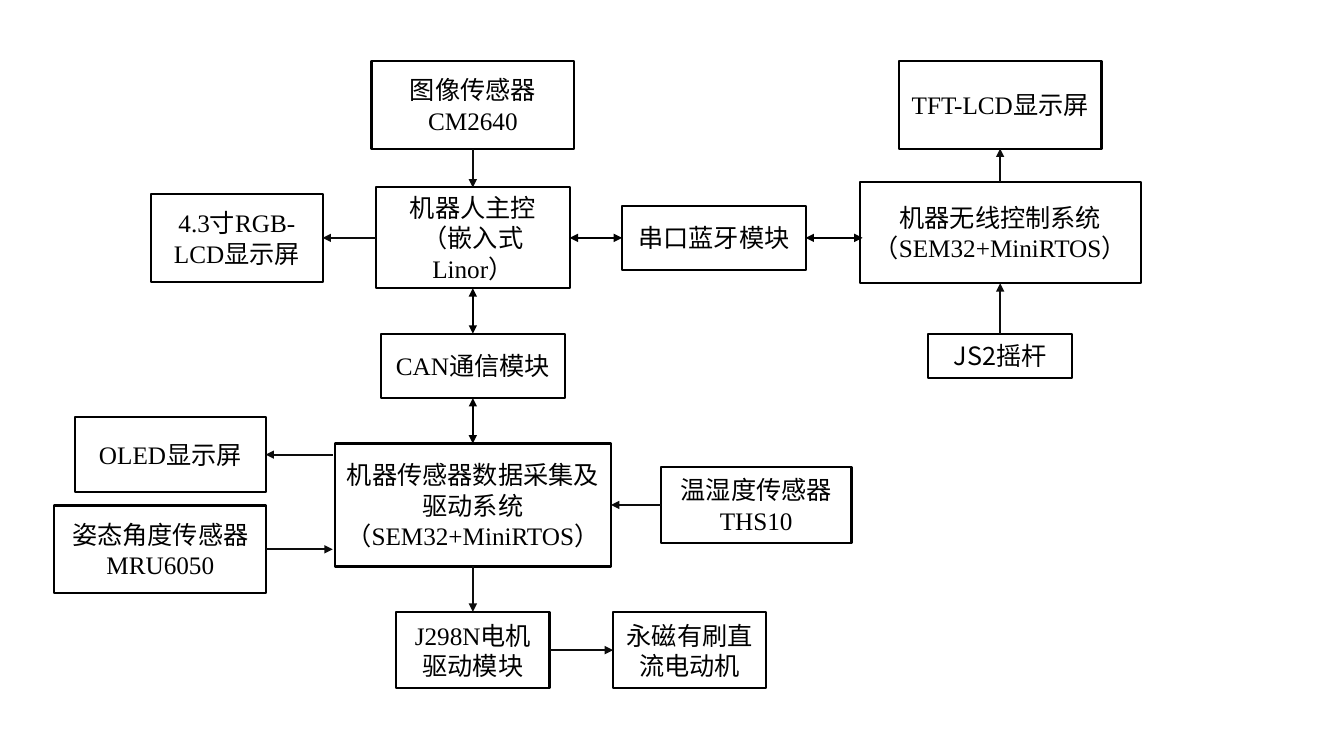
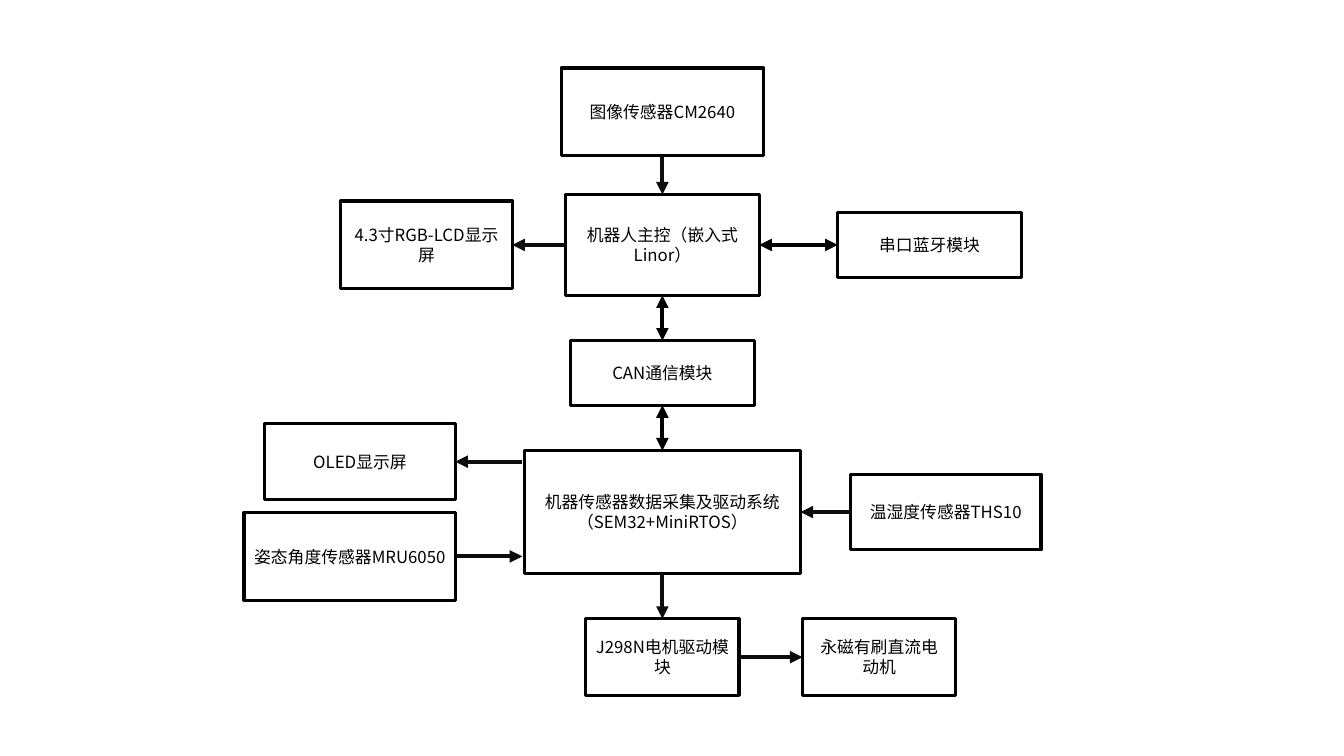
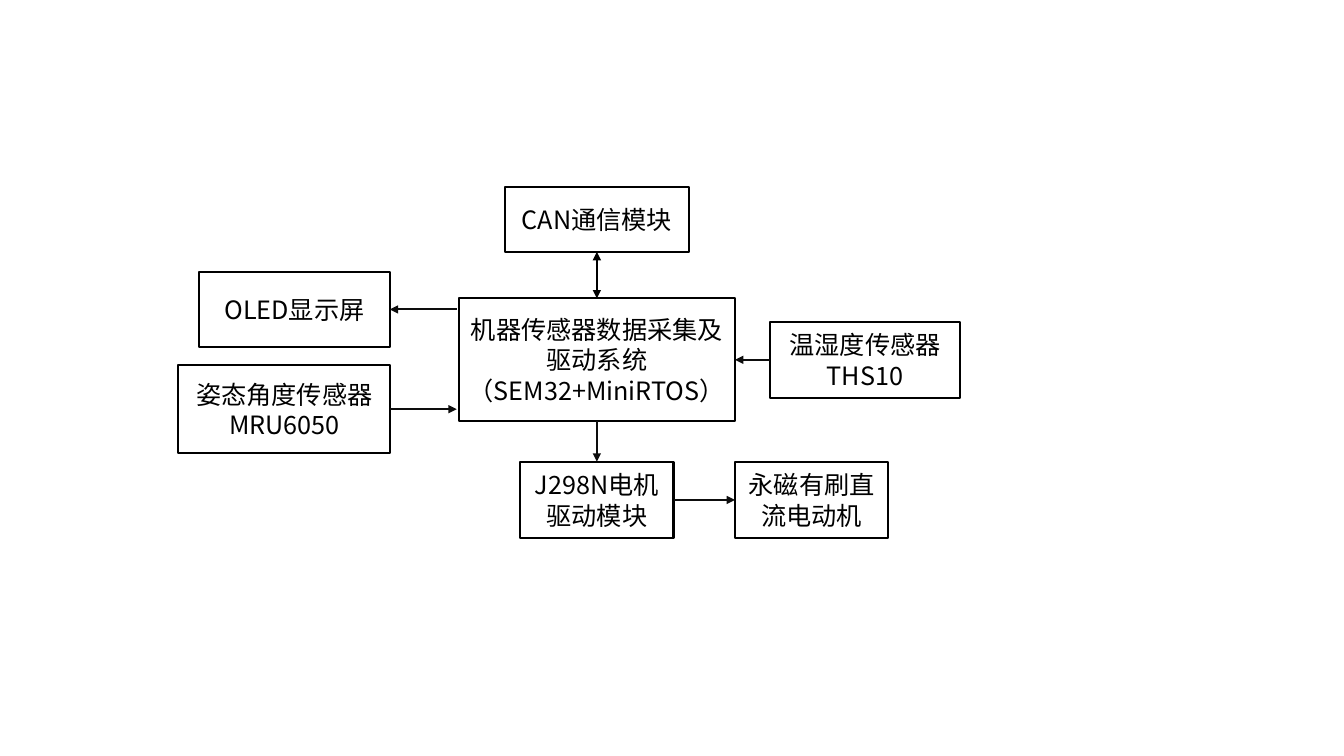
from dataclasses import dataclass, field
from itertools import groupby

from lxml import etree
from pptx import Presentation
from pptx.dml.color import RGBColor
from pptx.enum.shapes import MSO_CONNECTOR, MSO_SHAPE
from pptx.enum.text import MSO_ANCHOR, PP_ALIGN
from pptx.oxml.ns import qn
from pptx.util import Inches, Pt

RECTANGLE = MSO_SHAPE.RECTANGLE
STRAIGHT = MSO_CONNECTOR.STRAIGHT
CENTER = PP_ALIGN.CENTER
MIDDLE = MSO_ANCHOR.MIDDLE

BLACK = RGBColor(0x00, 0x00, 0x00)
NEAR_BLACK = RGBColor(0x0D, 0x0D, 0x0D)
WHITE = RGBColor(0xFF, 0xFF, 0xFF)
SANS = "Noto Sans CJK SC"
SERIF = "Times New Roman"

# Directions of a link, seen from its core block
OUT, IN, BOTH = "out", "in", "both"


@dataclass(frozen=True)
class Block:
    """A box; x and y run from the centre of the hub to its own centre, in inches."""
    text: str
    x: float
    y: float
    width: float
    height: float
    sans_only: bool = False


@dataclass(frozen=True)
class Link:
    """A straight line at the leaf's centre; gap is left free beside the core."""
    leaf: str
    core: str
    direction: str
    gap: float = 0


@dataclass(frozen=True)
class Diagram:
    """One slide: where the hub sits, its style, its blocks and moved centres."""
    hub_x: float
    hub_y: float
    names: list[str]
    size: float = 18
    border: float = 1.5
    stroke: float = 1.5
    latin: str = SANS
    moved: dict[str, tuple[float, float]] = field(default_factory=dict)


@dataclass(frozen=True)
class Box:
    """A block placed on a slide, in inches."""
    x: float
    y: float
    width: float
    height: float


# Distances shared by several blocks
CONTROL_ROW = -2.65
TOP_ROW = -3.97
DRIVE_ROW = 1.44
REMOTE_COLUMN = 5.23

BLOCKS = {
    "controller": Block("机器人主控（嵌入式Linor）", 0, CONTROL_ROW, 1.92, 1),
    "remote": Block("机器无线控制系统（SEM32+MiniRTOS）", REMOTE_COLUMN, -2.7, 2.79, 1),
    "hub": Block("机器传感器数据采集及驱动系统（SEM32+MiniRTOS）", 0, 0, 2.74, 1.22),
    "camera": Block("图像传感器CM2640", 0, TOP_ROW, 2.01, 0.87),
    "display": Block("4.3寸RGB-LCD显示屏", -2.34, CONTROL_ROW, 1.7, 0.87),
    "bluetooth": Block("串口蓝牙模块", 2.39, CONTROL_ROW, 1.82, 0.64),
    "can": Block("CAN通信模块", 0, -1.38, 1.82, 0.64),
    "climate": Block("温湿度传感器THS10", 2.81, 0, 1.89, 0.75),
    "attitude": Block("姿态角度传感器MRU6050", -3.1, 0.44, 2.1, 0.87),
    "oled": Block("OLED显示屏", -3, -0.5, 1.89, 0.75),
    "driver": Block("J298N电机驱动模块", 0, DRIVE_ROW, 1.52, 0.76),
    "motor": Block("永磁有刷直流电动机", 2.15, DRIVE_ROW, 1.52, 0.76),
    "joystick": Block("JS2摇杆", REMOTE_COLUMN, -1.48, 1.43, 0.44, True),
    "tft": Block("TFT-LCD显示屏", REMOTE_COLUMN, TOP_ROW, 2.01, 0.87),
}

LINKS = [
    Link("camera", "controller", IN),
    Link("display", "controller", OUT),
    Link("bluetooth", "controller", BOTH),
    Link("bluetooth", "remote", BOTH, gap=-0.03),
    Link("can", "controller", BOTH),
    Link("can", "hub", BOTH),
    Link("climate", "hub", IN),
    Link("driver", "hub", OUT),
    Link("motor", "driver", OUT),
    Link("tft", "remote", OUT),
    Link("joystick", "remote", IN),
    Link("oled", "hub", OUT, gap=0.02),
    Link("attitude", "hub", IN, gap=0.02),
]

HUB_PART = ["hub", "can", "climate", "attitude", "oled", "driver", "motor"]
ROBOT_PART = HUB_PART + ["controller", "camera", "display", "bluetooth"]

DIAGRAMS = [
    Diagram(4.69, 5.01, list(BLOCKS), latin=SERIF),
    Diagram(6.57, 5.08, ROBOT_PART, size=12, border=2.25, stroke=3,
            moved={"bluetooth": (2.65, CONTROL_ROW)}),
    Diagram(5.92, 3.57, HUB_PART,
            moved={"can": (0, -1.39), "climate": (2.66, 0), "attitude": (-3.1, 0.49),
                   "driver": (0, 1.39), "motor": (2.13, 1.39)}),
]


def write_text(shape, text: str, *, size: float, latin: str, color: RGBColor) -> None:
    """Centre the text, with one run for each stretch of Latin or Chinese."""
    frame = shape.text_frame
    frame.word_wrap = True
    frame.vertical_anchor = MIDDLE
    paragraph = frame.paragraphs[0]
    paragraph.alignment = CENTER
    for is_latin, letters in groupby(text, key=str.isascii):
        run = paragraph.add_run()
        run.text = "".join(letters)
        run.font.size = Pt(size)
        run.font.color.rgb = color
        run.font.name = latin if is_latin else SANS
        east_asian = etree.SubElement(run.font._element, qn("a:ea"))
        east_asian.set("typeface", SANS)


def place(name: str, diagram: Diagram) -> Box:
    block = BLOCKS[name]
    x, y = diagram.moved.get(name, (block.x, block.y))
    return Box(diagram.hub_x + x, diagram.hub_y + y, block.width, block.height)


def draw_block(slide, block: Block, box: Box, diagram: Diagram) -> None:
    shape = slide.shapes.add_shape(
        RECTANGLE, Inches(box.x - box.width / 2), Inches(box.y - box.height / 2),
        Inches(box.width), Inches(box.height))
    shape.shadow.inherit = False
    shape.fill.solid()
    shape.fill.fore_color.rgb = WHITE
    shape.line.color.rgb = BLACK
    shape.line.width = Pt(diagram.border)
    write_text(shape, block.text, size=diagram.size, color=BLACK,
               latin=SANS if block.sans_only else diagram.latin)


def link_ends(leaf: Box, core: Box, gap: float) -> tuple[tuple[float, float], ...]:
    """Return the points on the core's edge and on the leaf's edge."""
    if leaf.x == core.x:
        sign = 1 if leaf.y > core.y else -1
        return ((leaf.x, core.y + sign * (core.height / 2 + gap)),
                (leaf.x, leaf.y - sign * leaf.height / 2))
    sign = 1 if leaf.x > core.x else -1
    return ((core.x + sign * (core.width / 2 + gap), leaf.y),
            (leaf.x - sign * leaf.width / 2, leaf.y))


def draw_link(slide, link: Link, boxes: dict[str, Box], stroke: float) -> None:
    start, end = link_ends(boxes[link.leaf], boxes[link.core], link.gap)
    if link.direction == IN:
        start, end = end, start
    connector = slide.shapes.add_connector(
        STRAIGHT, *(Inches(length) for length in start + end))
    connector.line.color.rgb = BLACK if link.direction == BOTH else NEAR_BLACK
    connector.line.width = Pt(stroke)
    # Arrowheads, and no shadow
    line = connector.line._get_or_add_ln()
    tags = ["a:headEnd", "a:tailEnd"] if link.direction == BOTH else ["a:tailEnd"]
    for tag in tags:
        etree.SubElement(line, qn(tag)).set("type", "triangle")
    etree.SubElement(connector._element.spPr, qn("a:effectLst"))


def draw_diagram(slide, diagram: Diagram) -> None:
    boxes = {name: place(name, diagram) for name in diagram.names}
    for name, box in boxes.items():
        draw_block(slide, BLOCKS[name], box, diagram)
    for link in LINKS:
        if link.leaf in boxes and link.core in boxes:
            draw_link(slide, link, boxes, diagram.stroke)


def main() -> None:
    presentation = Presentation()
    presentation.slide_width = Inches(13.33)
    presentation.slide_height = Inches(7.5)
    blank_layout = presentation.slide_layouts[6]
    for diagram in DIAGRAMS:
        draw_diagram(presentation.slides.add_slide(blank_layout), diagram)
    presentation.save("out.pptx")


if __name__ == "__main__":
    main()
